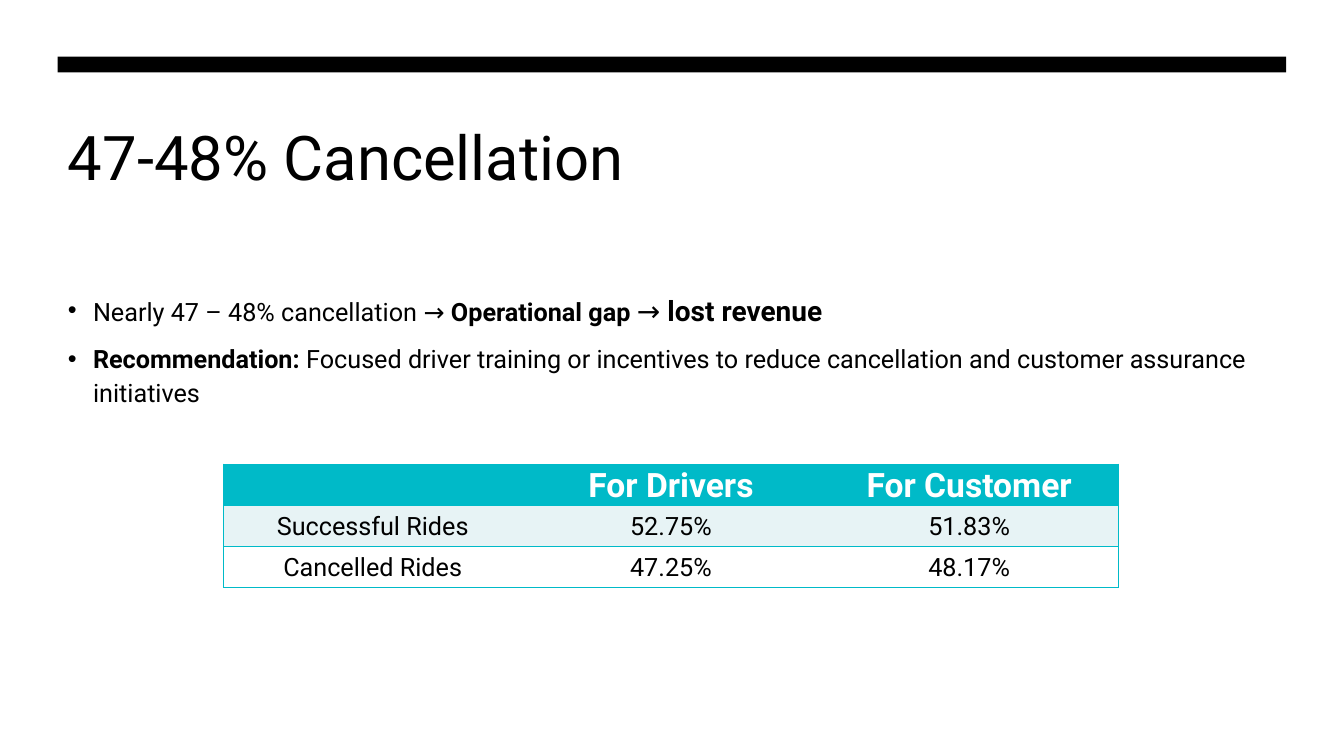
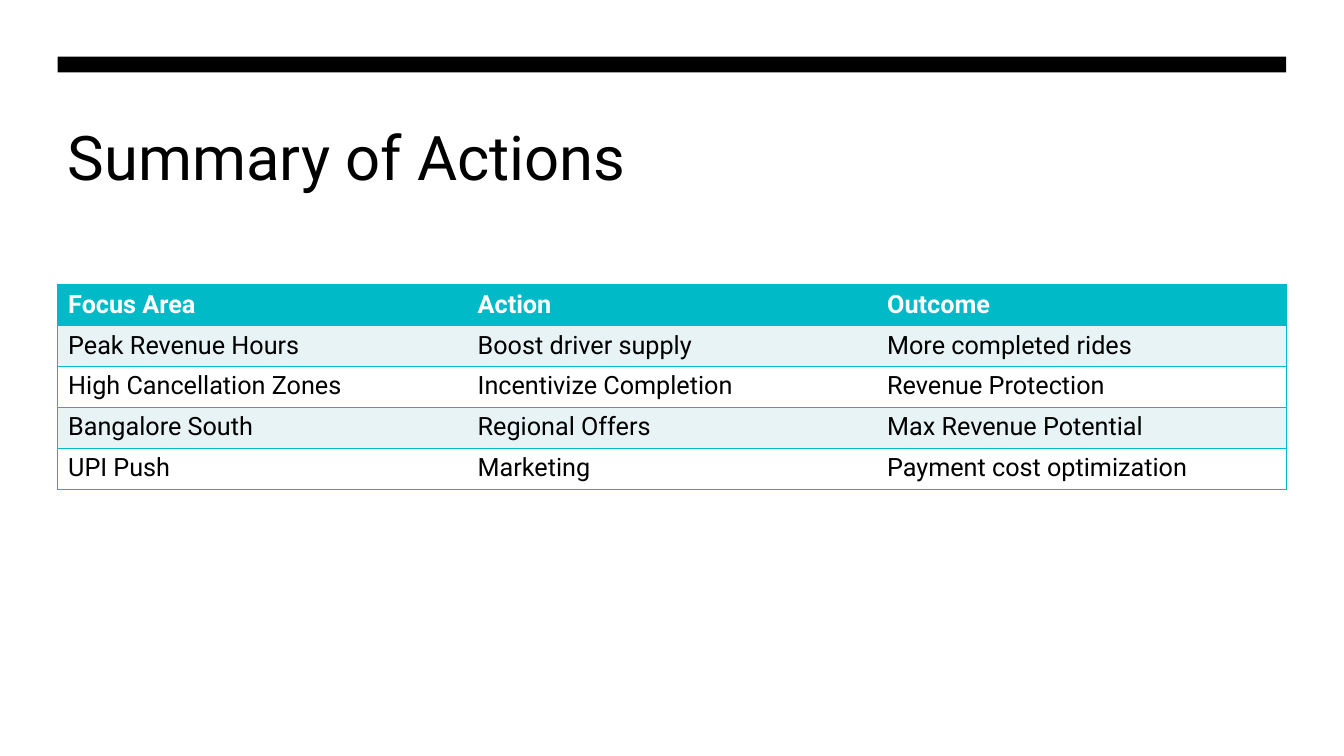
import pptx
import pptx.dml.color
import pptx.enum.shapes
import pptx.enum.text
import pptx.oxml
import pptx.oxml.ns
import pptx.util

PX = 9525  # EMU in one px, 96 px to the inch
FONT, BLACK, WHITE = "Roboto", "000000", "FFFFFF"
TEAL, PALE = "00BAC8", "E7F3F5"
LEFT, WIDTH, CONTENT_TOP, ROW_H = 55, 1170, 271, 39
ALIGN = pptx.enum.text.PP_ALIGN
ANCHOR = pptx.enum.text.MSO_ANCHOR


def rgb(hex_color):
    return pptx.dml.color.RGBColor.from_string(hex_color)


def write(p, text, size=18, color=BLACK, bold=False, align=ALIGN.LEFT, spacing=1.0):
    """Add one run to a paragraph and set the paragraph's format."""
    p.alignment, p.line_spacing = align, spacing
    r = p.add_run()
    r.text = text
    r.font.name, r.font.size, r.font.bold = FONT, pptx.util.Pt(size), bold
    r.font.color.rgb = rgb(color)


prs = pptx.Presentation()
prs.slide_width, prs.slide_height = 1280 * PX, 720 * PX

# Shared placement of the title and body
master = prs.slide_master
for sp, top, height, inset in ((master.placeholders[0], 103, 154, 10),
                               (master.placeholders[1], CONTENT_TOP, 396, 5)):
    sp.left, sp.top, sp.width, sp.height = LEFT * PX, top * PX, WIDTH * PX, height * PX
    tf = sp.text_frame
    tf.vertical_anchor, tf.margin_top = ANCHOR.TOP, inset * PX
    tf.auto_size = pptx.enum.text.MSO_AUTO_SIZE.NONE

bullets = [
    [("Nearly 47 – 48% cancellation → ", 18, False), ("Operational gap ", 18, True),
     ("→ ", 20, False), ("lost revenue", 20, True)],
    [("Recommendation: ", 18, True),
     ("Focused driver training or incentives to reduce cancellation and customer "
      "assurance initiatives", 18, False)],
]
slides = [
    dict(title="47-48% Cancellation", layout=1, bullets=bullets,
         left=213, top=442, col_w=284, header_size=24, align=ALIGN.CENTER,
         anchor=ANCHOR.MIDDLE, inset_x=7, inset_y=0, spacing=1.05,
         rows=[("", "For Drivers", "For Customer"),
               ("Successful Rides", "52.75%", "51.83%"),
               ("Cancelled Rides", "47.25%", "48.17%")]),
    dict(title="Summary of Actions", layout=5, bullets=[],
         left=LEFT, top=CONTENT_TOP, col_w=390, header_size=18, align=ALIGN.LEFT,
         anchor=ANCHOR.TOP, inset_x=10, inset_y=5, spacing=1.0,
         rows=[("Focus Area", "Action", "Outcome"),
               ("Peak Revenue Hours", "Boost driver supply", "More completed rides"),
               ("High Cancellation Zones", "Incentivize Completion", "Revenue Protection"),
               ("Bangalore South", "Regional Offers", "Max Revenue Potential"),
               ("UPI Push", "Marketing", "Payment cost optimization")]),
]

for d in slides:
    s = prs.slides.add_slide(prs.slide_layouts[d["layout"]])
    write(s.shapes.title.text_frame.paragraphs[0], d["title"], size=44)

    for i, runs in enumerate(d["bullets"]):
        tf = s.placeholders[1].text_frame
        p = tf.add_paragraph() if i else tf.paragraphs[0]
        p.space_before = pptx.util.Pt(10)
        for text, size, bold in runs:
            write(p, text, size=size, bold=bold, spacing=1.1)
        pPr = p._p.get_or_add_pPr()
        pPr.set("marL", str(24 * PX))
        pPr.set("indent", str(-24 * PX))

    rows = d["rows"]
    n_cols = len(rows[0])
    table = s.shapes.add_table(len(rows), n_cols, d["left"] * PX, d["top"] * PX,
                               n_cols * d["col_w"] * PX, len(rows) * ROW_H * PX).table
    for i, row in enumerate(rows):
        table.rows[i].height = ROW_H * PX
        for j, text in enumerate(row):
            cell = table.cell(i, j)
            cell.vertical_anchor = d["anchor"]
            cell.margin_left = cell.margin_right = d["inset_x"] * PX
            cell.margin_top = cell.margin_bottom = d["inset_y"] * PX
            cell.fill.solid()
            cell.fill.fore_color.rgb = rgb(TEAL if i == 0 else PALE if i % 2 else WHITE)
            if text:
                write(cell.text_frame.paragraphs[0], text,
                      size=d["header_size"] if i == 0 else 18,
                      color=WHITE if i == 0 else BLACK, bold=i == 0,
                      align=d["align"], spacing=d["spacing"])
            # Frame and row lines only, no lines between columns
            sides = (("L", j == 0), ("R", j == n_cols - 1), ("T", True), ("B", True))
            for k, (side, visible) in enumerate(sides):
                line = (f'<a:solidFill><a:srgbClr val="{TEAL}"/></a:solidFill>'
                        if visible else "<a:noFill/>")
                ln = pptx.oxml.parse_xml(
                    f'<a:ln{side} {pptx.oxml.ns.nsdecls("a")} w="12700">{line}</a:ln{side}>')
                cell._tc.get_or_add_tcPr().insert(k, ln)

# The band is drawn on a slide, then moved behind everything on the master
band = s.shapes.add_shape(pptx.enum.shapes.MSO_SHAPE.RECTANGLE,
                          LEFT * PX, 54 * PX, WIDTH * PX, 15 * PX)
band.shadow.inherit = False
band.fill.solid()
band.fill.fore_color.rgb = rgb(BLACK)
band.line.fill.background()
band.element.xpath("./p:nvSpPr/p:cNvPr")[0].set("id", "20")
master.shapes.element.insert(2, band.element)

prs.save("out.pptx")
